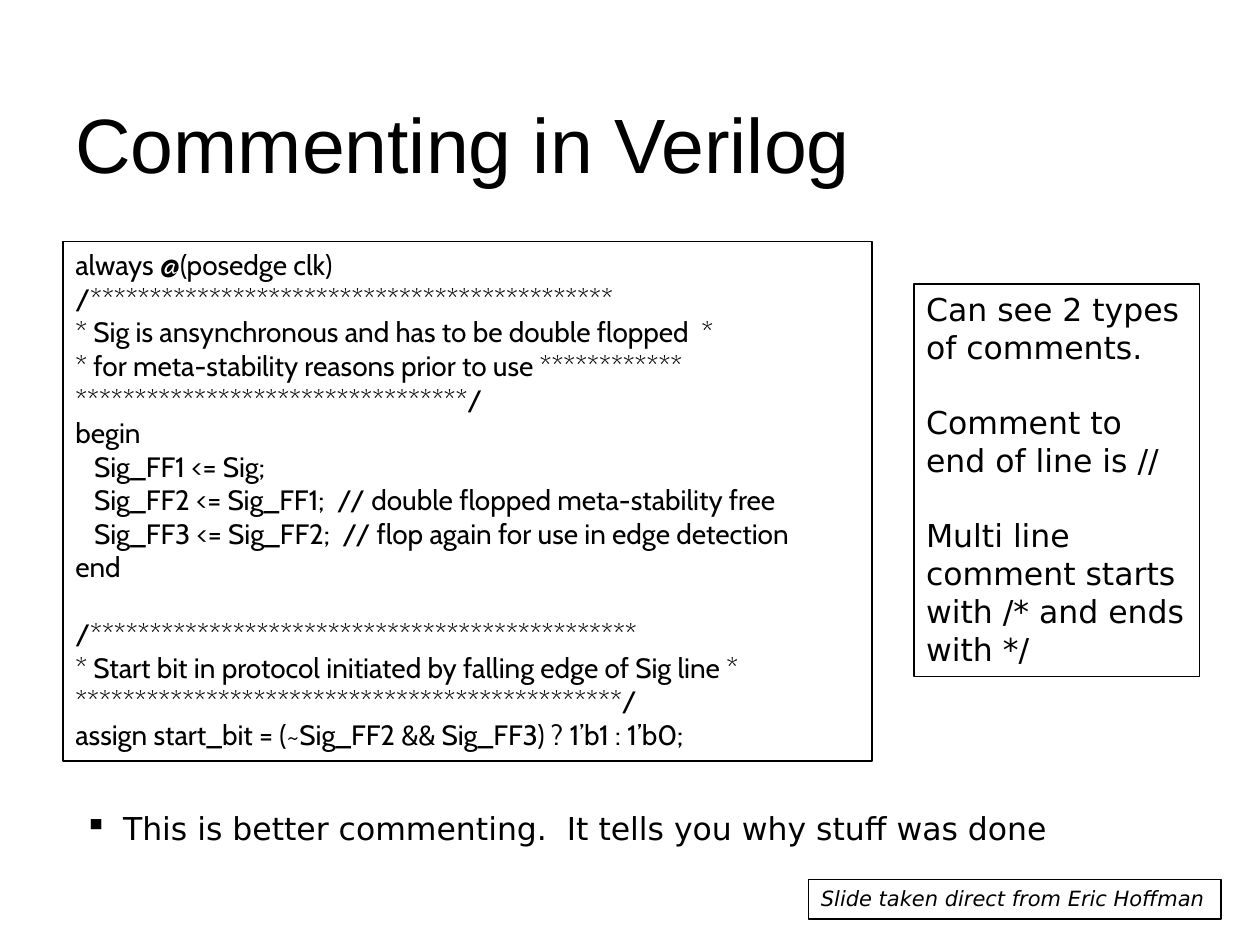
from lxml import etree
from pptx import Presentation
from pptx.dml.color import RGBColor
from pptx.enum.shapes import MSO_SHAPE
from pptx.enum.text import MSO_ANCHOR, PP_ALIGN
from pptx.oxml.ns import qn
from pptx.util import Cm, Pt

RECTANGLE = MSO_SHAPE.RECTANGLE
TOP, BOTTOM = MSO_ANCHOR.TOP, MSO_ANCHOR.BOTTOM
LEFT = PP_ALIGN.LEFT

BLACK = RGBColor(0x00, 0x00, 0x00)

TITLE_FONT = {"name": "Arial", "size": Pt(44)}
CODE_FONT = {"name": "Cabin", "size": Pt(16)}
BODY_FONT = {"name": "DejaVu Sans", "size": Pt(18)}
CREDIT_FONT = {"name": "DejaVu Sans", "size": Pt(12), "italic": True}

CODE_BLOCKS = [
    [
        "always @(posedge clk)",
        "/********************************************",
        "* Sig is ansynchronous and has to be double flopped  *",
        "* for meta-stability reasons prior to use ************",
        "*********************************/",
        "begin",
        "   Sig_FF1 <= Sig;",
        "   Sig_FF2 <= Sig_FF1;  // double flopped meta-stability free",
        "   Sig_FF3 <= Sig_FF2;  // flop again for use in edge detection",
        "end",
    ],
    [
        "/**********************************************",
        "* Start bit in protocol initiated by falling edge of Sig line *",
        "**********************************************/",
        "assign start_bit = (~Sig_FF2 && Sig_FF3) ? 1’b1 : 1’b0;",
    ],
]
COMMENT_TYPES = [
    ["Can see 2 types", "of comments."],
    ["Comment to end of line is //"],
    ["Multi line comment starts with /* and ends with */"],
]


def write_blocks(frame, blocks, font, gap=0):
    """Write blocks of lines into a frame, with a gap in points between blocks."""
    paragraph = frame.paragraphs[0]
    for block_index, block in enumerate(blocks):
        for line_index, line in enumerate(block):
            if block_index or line_index:
                paragraph = frame.add_paragraph()
            if block_index and not line_index:
                paragraph.space_before = Pt(gap)
            paragraph.alignment = LEFT
            run = paragraph.add_run()
            run.text = line
            run.font.color.rgb = BLACK
            for attribute, value in font.items():
                setattr(run.font, attribute, value)


def add_plain_text(slide, box, line, font, anchor=TOP):
    """Place one unframed line of text in the box and return its paragraph."""
    frame = slide.shapes.add_textbox(*map(Cm, box)).text_frame
    frame.word_wrap = True
    frame.vertical_anchor = anchor
    write_blocks(frame, [[line]], font)
    return frame.paragraphs[0]


def add_framed_text(slide, box, blocks, font, gap=0, wrap=True):
    """Place blocks of text in a thin black frame filling the box."""
    panel = slide.shapes.add_shape(RECTANGLE, *map(Cm, box))
    panel.shadow.inherit = False
    panel.fill.background()
    panel.line.color.rgb = BLACK
    panel.line.width = Pt(1)
    frame = panel.text_frame
    frame.word_wrap = wrap
    frame.vertical_anchor = TOP
    write_blocks(frame, blocks, font, gap)


def add_remark(slide, box, line):
    """Place a remark with a square bullet and a hanging indent."""
    paragraph = add_plain_text(slide, box, line, BODY_FONT)
    properties = paragraph._p.get_or_add_pPr()
    indent = Cm(0.58)
    properties.set("marL", str(indent))
    properties.set("indent", str(-indent))
    etree.SubElement(properties, qn("a:buChar")).set("char", "▪")


def build_slide(slide):
    """Place the title, code, side note, remark and credit."""
    add_plain_text(slide, (1.27, 0.76, 22.86, 3.18), "Commenting in Verilog",
                   TITLE_FONT, BOTTOM)
    add_framed_text(slide, (1.27, 4.87, 16.31, 10.47), CODE_BLOCKS, CODE_FONT, gap=19)
    add_remark(slide, (1.45, 16.19, 19.94, 1.02),
               " This is better commenting.  It tells you why stuff was done")
    add_framed_text(slide, (18.42, 5.72, 5.76, 7.92), COMMENT_TYPES, BODY_FONT, gap=21.5)
    add_framed_text(slide, (16.3, 17.73, 8.31, 0.8),
                    [["Slide taken direct from Eric Hoffman"]], CREDIT_FONT, wrap=False)


def main():
    """Build the presentation and save it."""
    presentation = Presentation()
    presentation.slide_width = Cm(25.4)
    presentation.slide_height = Cm(19.05)
    build_slide(presentation.slides.add_slide(presentation.slide_layouts[6]))
    presentation.save("out.pptx")


if __name__ == "__main__":
    main()
